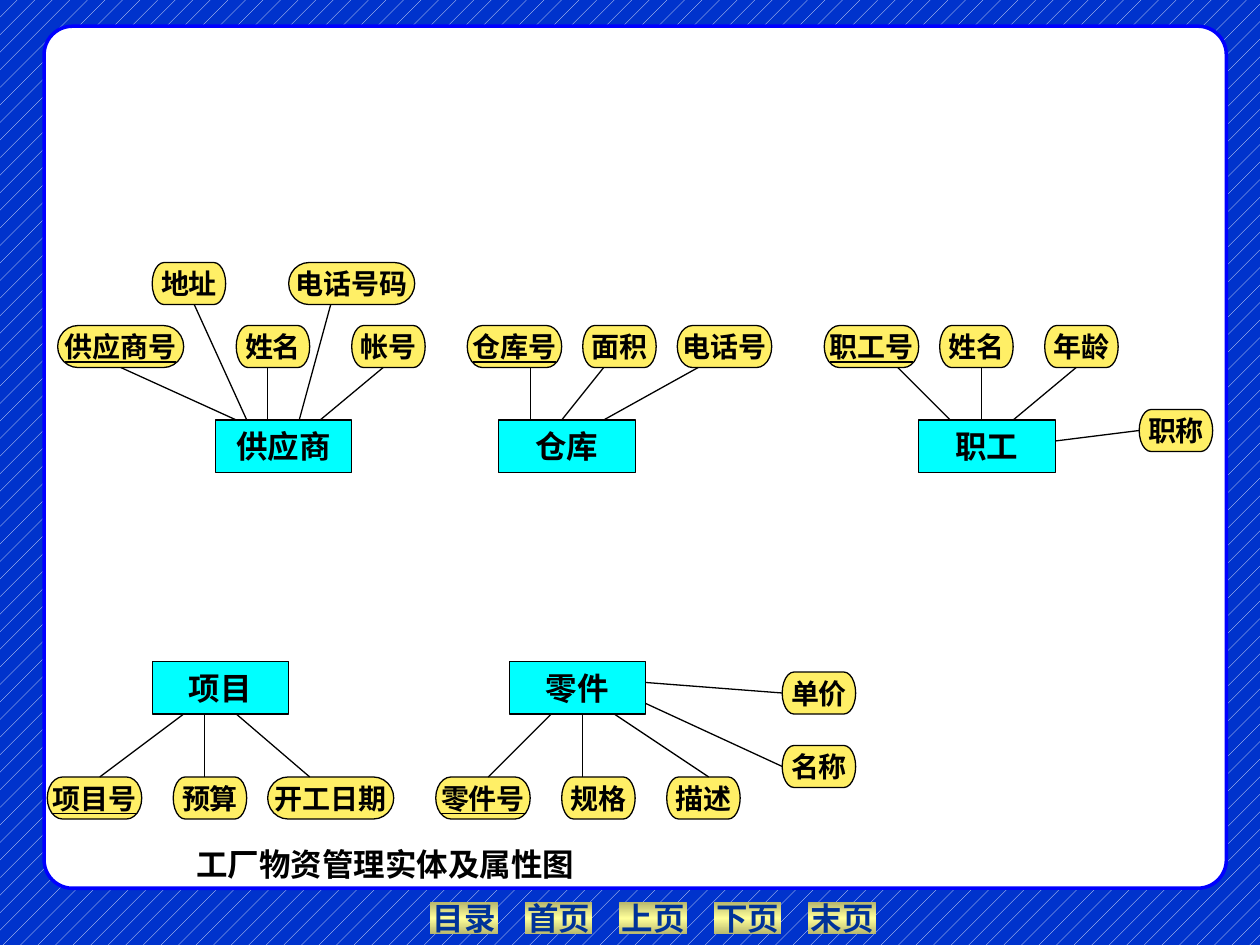
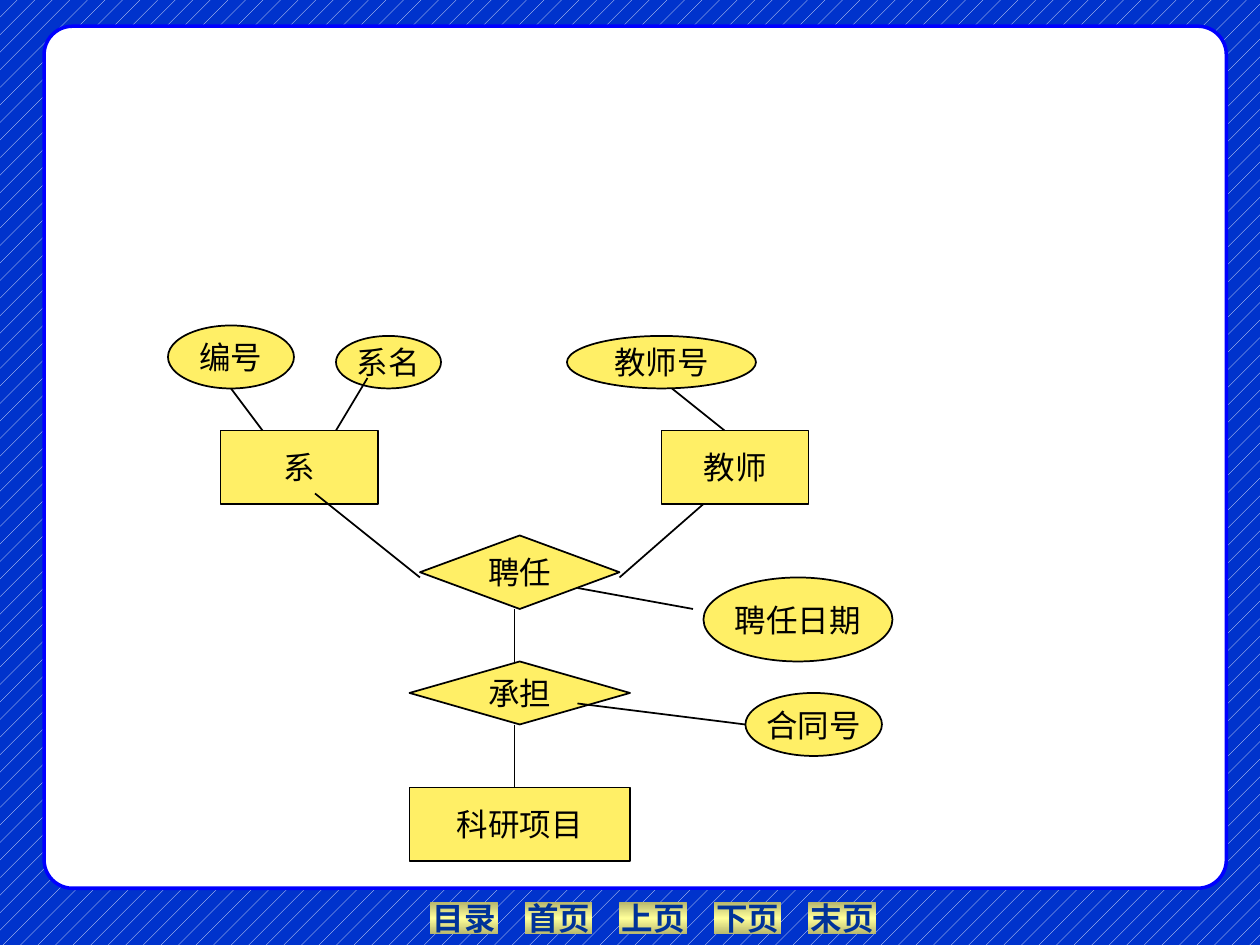
from copy import deepcopy

from pptx import Presentation
from pptx.dml.color import RGBColor
from pptx.enum.dml import MSO_PATTERN
from pptx.enum.shapes import MSO_CONNECTOR, MSO_SHAPE
from pptx.enum.text import MSO_ANCHOR, PP_ALIGN
from pptx.oxml.ns import qn
from pptx.util import Pt
from lxml.etree import SubElement

PX = 7620  # 120 px to the inch
FONT = "Times New Roman"
BLACK, WHITE, BLUE = "000000", "FFFFFF", "0033CC"
FRAME_BLUE, BUTTON_TEXT = "0000FF", "003399"
CYAN, YELLOW = "00FFFF", "FFEF66"
BUTTON_GRADIENT = [(0, "B6B66D"), (0.5, "FFFF99"), (1, "B6B66D")]

BUTTONS = ["目录", "首页", "上页", "下页", "末页"]

# entity, left, top, attributes; the first attribute is the key
# attribute: text, left, top, line (from x, from y, to x, to y)
ENTITIES = [
    ("供应商", 205, 400, [
        ("供应商号", 55, 310, (225, 400, 115, 350)),
        ("地址", 145, 250, (235, 400, 185, 290)),
        ("姓名", 225, 310, (255, 400, 255, 350)),
        ("电话号码", 275, 250, (285, 400, 315, 290)),
        ("帐号", 335, 310, (305, 400, 365, 350))]),
    ("仓库", 475, 400, [
        ("仓库号", 445, 310, (505, 400, 505, 350)),
        ("面积", 555, 310, (535, 400, 575, 350)),
        ("电话号", 645, 310, (575, 400, 665, 350))]),
    ("职工", 875, 400, [
        ("职工号", 785, 310, (905, 400, 855, 350)),
        ("姓名", 895, 310, (935, 400, 935, 350)),
        ("年龄", 995, 310, (965, 400, 1025, 350)),
        ("职称", 1085, 390, (1005, 420, 1085, 410))]),
    ("项目", 145, 630, [
        ("项目号", 45, 740, (175, 680, 95, 740)),
        ("预算", 165, 740, (195, 680, 195, 740)),
        ("开工日期", 255, 740, (225, 680, 295, 740))]),
    ("零件", 485, 630, [
        ("零件号", 415, 740, (525, 680, 465, 740)),
        ("规格", 535, 740, (555, 680, 555, 740)),
        ("描述", 635, 740, (585, 680, 675, 740)),
        ("名称", 745, 710, (615, 670, 745, 730)),
        ("单价", 745, 640, (615, 650, 745, 660))]),
]
ATTRIBUTE_WIDTHS = {2: 70, 3: 90, 4: 120}  # by number of characters
CAPTION = "工厂物资管理实体及属性图"

HIRING_NODES = {
    MSO_SHAPE.RECTANGLE: [
        ("系", 210, 410, 150, 70),
        ("教师", 630, 410, 140, 70),
        ("科研项目", 390, 750, 210, 70)],
    MSO_SHAPE.DIAMOND: [
        ("聘任", 400, 510, 190, 70),
        ("承担", 390, 630, 210, 60)],
    MSO_SHAPE.OVAL: [
        ("编号", 160, 310, 120, 60),
        ("系名", 320, 320, 100, 50),
        ("教师号", 540, 320, 180, 50),
        ("聘任日期", 670, 550, 180, 80),
        ("合同号", 710, 660, 130, 60)],
}
HIRING_LINES = [
    (490, 580, 490, 630), (490, 690, 490, 750), (300, 470, 400, 550),
    (590, 550, 670, 480), (220, 370, 250, 410), (320, 410, 350, 360),
    (640, 370, 690, 410), (550, 560, 660, 580), (550, 670, 710, 690),
]


def rgb(color):
    return RGBColor.from_string(color)


def emu(*lengths):
    return [length * PX for length in lengths]


def write(frame, text, size=18, color=BLACK, bold=False, underline=False,
          align=PP_ALIGN.CENTER):
    paragraph = frame.paragraphs[0]
    paragraph.alignment = align
    run = paragraph.add_run()
    run.text = text
    run.font.name, run.font.size = FONT, Pt(size)
    run.font.bold, run.font.underline = bold, underline
    run.font.color.rgb = rgb(color)


def add_box(slide, kind, box, fill=None, line=BLACK, width=1, text="", **style):
    shape = slide.shapes.add_shape(kind, *emu(*box))
    shape.shadow.inherit = False
    if fill:
        shape.fill.solid()
        shape.fill.fore_color.rgb = rgb(fill)
    if line:
        shape.line.color.rgb = rgb(line)
        shape.line.width = Pt(width)
    else:
        shape.line.fill.background()
    if text:
        frame = shape.text_frame
        frame.word_wrap = False
        frame.vertical_anchor = MSO_ANCHOR.MIDDLE
        frame.margin_left = frame.margin_right = 0
        frame.margin_top = frame.margin_bottom = 0
        write(frame, text, **style)
    return shape


def add_line(slide, ends, width=1):
    connector = slide.shapes.add_connector(MSO_CONNECTOR.STRAIGHT, *emu(*ends))
    connector.line.color.rgb = rgb(BLACK)
    connector.line.width = Pt(width)
    SubElement(connector._element.spPr, qn("a:effectLst"))


def fill_gradient(shape, stops):
    shape.fill.gradient()
    shape.fill.gradient_angle = 90
    stop_list = shape._element.spPr.find(".//" + qn("a:gsLst"))
    stop_list.insert(1, deepcopy(stop_list[0]))
    for stop, (position, color) in zip(shape.fill.gradient_stops, stops):
        stop.position = position
        stop.color.rgb = rgb(color)


def build_master(master, slide):
    """Draw the shared parts on the slide, then move them to the master."""
    fill = master.background.fill
    fill.patterned()
    fill.pattern = MSO_PATTERN.PERCENT_5
    fill.fore_color.rgb, fill.back_color.rgb = rgb(WHITE), rgb(BLUE)

    shared = []
    for index, label in enumerate(BUTTONS):
        button = add_box(slide, MSO_SHAPE.ACTION_BUTTON_CUSTOM,
                         (410 + 90 * index, 859, 64, 31), line=None,
                         text=label, color=BUTTON_TEXT, bold=True)
        fill_gradient(button, BUTTON_GRADIENT)
        shared.append(button)
    panel = add_box(slide, MSO_SHAPE.ROUNDED_RECTANGLE, (42, 25, 1126, 821),
                    WHITE, FRAME_BLUE, 2)
    panel.adjustments[0] = 0.033
    shared.append(panel)

    for placeholder in list(master.placeholders):
        tree = placeholder._element.getparent()
        tree.remove(placeholder._element)
    for shape in shared:
        tree.append(shape._element)


def build_entity_slide(slide):
    for entity, left, top, attributes in ENTITIES:
        add_box(slide, MSO_SHAPE.RECTANGLE, (left, top, 130, 50), CYAN,
                width=0.75, text=entity, bold=True)
        for index, (text, x, y, ends) in enumerate(attributes):
            add_box(slide, MSO_SHAPE.FLOWCHART_TERMINATOR,
                    (x, y, ATTRIBUTE_WIDTHS[len(text)], 40), YELLOW,
                    width=0.75, text=text, size=16, bold=True,
                    underline=index == 0)
            add_line(slide, ends, 0.75)
    caption = slide.shapes.add_textbox(*emu(175, 799, 670, 60)).text_frame
    caption.word_wrap = True
    write(caption, CAPTION, bold=True, align=PP_ALIGN.LEFT)


def build_hiring_slide(slide):
    for kind, nodes in HIRING_NODES.items():
        for text, *box in nodes:
            add_box(slide, kind, box, YELLOW, text=text)
    for ends in HIRING_LINES:
        add_line(slide, ends)


def main():
    presentation = Presentation()
    presentation.slide_width, presentation.slide_height = emu(1200, 900)
    blank = presentation.slide_layouts[6]
    entity_slide = presentation.slides.add_slide(blank)
    hiring_slide = presentation.slides.add_slide(blank)
    build_master(presentation.slide_master, entity_slide)
    build_entity_slide(entity_slide)
    build_hiring_slide(hiring_slide)
    presentation.save("out.pptx")


if __name__ == "__main__":
    main()
